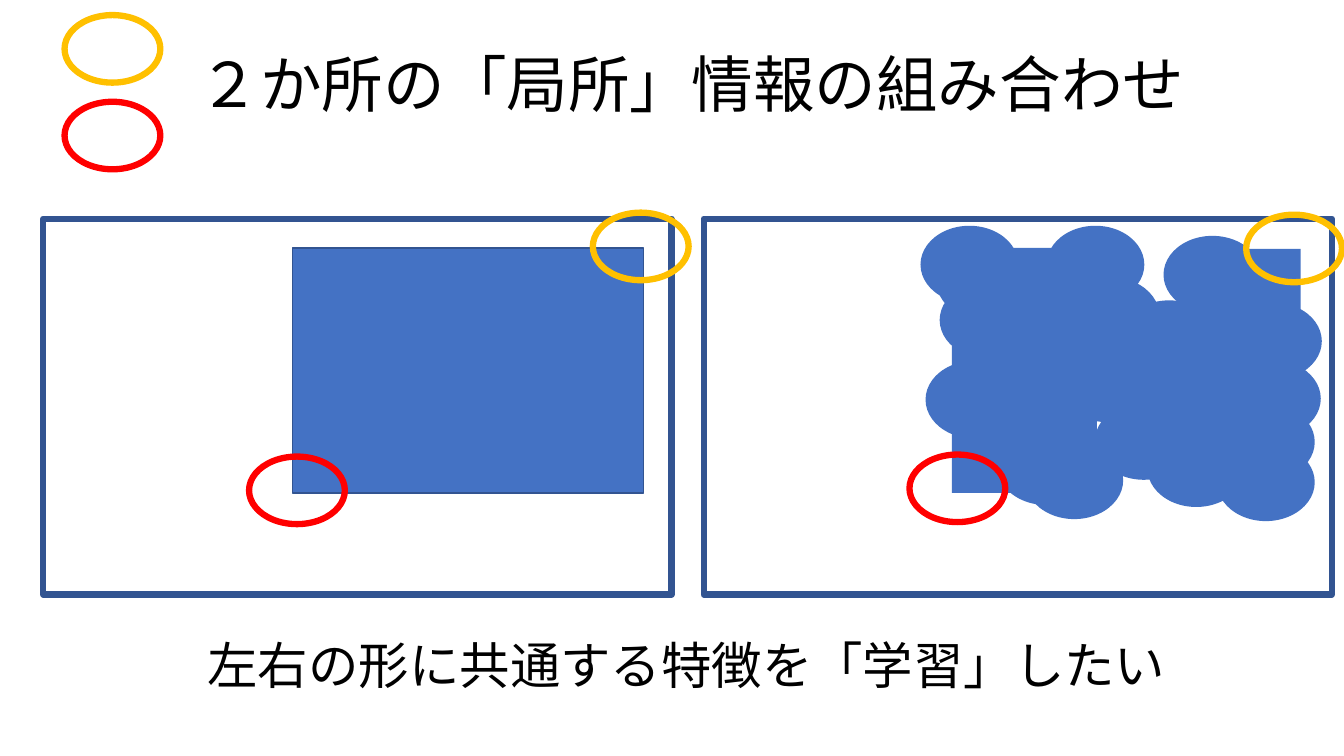
from pptx import Presentation
from pptx import util as u
from pptx.dml import color
from pptx.enum import shapes, text
from pptx.oxml import ns

FONT = "Noto Sans CJK JP"
BLUE, NAVY, RED, GOLD = "4472C4", "325491", "FF0000", "FFC000"
RECT, OVAL = shapes.MSO_SHAPE.RECTANGLE, shapes.MSO_SHAPE.OVAL
PANEL = (6.23, 3.73)
RING = (0.95, 0.67)
BLOB = (0.97, 0.77)

# Offsets from the top left corner of the right panel
BARS = [(2.46, 0.29, 1.44, 2.43), (4.78, 0.3, 1.14, 2.43)]
BLOBS = [
    (2.15, 0.07), (3.4, 0.07), (3.55, 0.58), (4.13, 0.81), (2.34, 0.62),
    (3.53, 1.25), (2.31, 0.24), (4.09, 1.49), (3.19, 2.21), (3.88, 1.82),
    (4.4, 2.09), (4.56, 0.17), (5.16, 0.83), (5.15, 1.4), (5.09, 2.23),
    (5.09, 1.83), (2.2, 1.41), (2.91, 2.07),
]


def rgb(code):
    return color.RGBColor.from_string(code)


def draw(slide, kind, box, fill=None, line=None, width=4.5):
    shape = slide.shapes.add_shape(kind, *map(u.Inches, box))
    shape.shadow.inherit = False
    if fill:
        shape.fill.solid()
        shape.fill.fore_color.rgb = rgb(fill)
    else:
        shape.fill.background()
    if line:
        shape.line.color.rgb = rgb(line)
        shape.line.width = u.Pt(width)
    else:
        shape.line.fill.background()


def ring(slide, x, y, hue):
    draw(slide, OVAL, (x, y, *RING), line=hue)


def write(shape, box, words, size, frame, para):
    """Place a text shape and format its frame and its one paragraph."""
    for name, value in zip(("left", "top", "width", "height"), box):
        setattr(shape, name, u.Inches(value))
    body = shape.text_frame
    body.text = words
    line = body.paragraphs[0]
    for target, values in ((body, frame), (line, para)):
        for name, value in values.items():
            setattr(target, name, value)
    run = line.runs[0]
    for name, value in {"size": u.Pt(size), "name": FONT}.items():
        setattr(run.font, name, value)
    run.font.color.rgb = rgb("000000")
    east = run.font._element.makeelement(ns.qn("a:ea"), {"typeface": FONT})
    run.font._element.find(ns.qn("a:latin")).addnext(east)


def header(slide, x, y):
    write(slide.shapes.title, (x + 1.23, y - 0.01, 10.46, 1.45),
          "２か所の「局所」情報の組み合わせ", 44,
          {"vertical_anchor": text.MSO_ANCHOR.MIDDLE, "word_wrap": True,
           "auto_size": text.MSO_AUTO_SIZE.NONE},
          {"alignment": text.PP_ALIGN.LEFT, "line_spacing": 0.9})
    ring(slide, x, y + 0.86, RED)
    ring(slide, x, y, GOLD)


def plain(slide, x, y):
    draw(slide, RECT, (x, y, *PANEL), line=NAVY)
    draw(slide, RECT, (x + 2.47, y + 0.29, 3.48, 2.43), BLUE, NAVY, 1)
    ring(slide, x + 2.04, y + 2.36, RED)
    ring(slide, x + 5.45, y - 0.06, GOLD)


def bumpy(slide, x, y):
    draw(slide, RECT, (x, y, *PANEL), line=NAVY)
    for dx, dy, w, h in BARS:
        draw(slide, RECT, (x + dx, y + dy, w, h), BLUE)
    for dx, dy in BLOBS:
        draw(slide, OVAL, (x + dx, y + dy, *BLOB), BLUE)
    ring(slide, x + 2.04, y + 2.34, RED)
    ring(slide, x + 5.38, y - 0.04, GOLD)


def caption(slide, box):
    write(slide.shapes.add_textbox(0, 0, 0, 0), box,
          "左右の形に共通する特徴を「学習」したい", 36,
          {"word_wrap": False,
           "auto_size": text.MSO_AUTO_SIZE.SHAPE_TO_FIT_TEXT},
          {"alignment": text.PP_ALIGN.LEFT})


def main():
    deck = Presentation()
    deck.slide_width, deck.slide_height = u.Inches(13.33), u.Inches(7.5)
    slide = deck.slides.add_slide(deck.slide_layouts[5])
    header(slide, 0.64, 0.15)
    plain(slide, 0.43, 2.17)
    bumpy(slide, 6.98, 2.17)
    caption(slide, (1.96, 6.24, 9.79, 0.71))
    deck.save("out.pptx")


if __name__ == "__main__":
    main()
